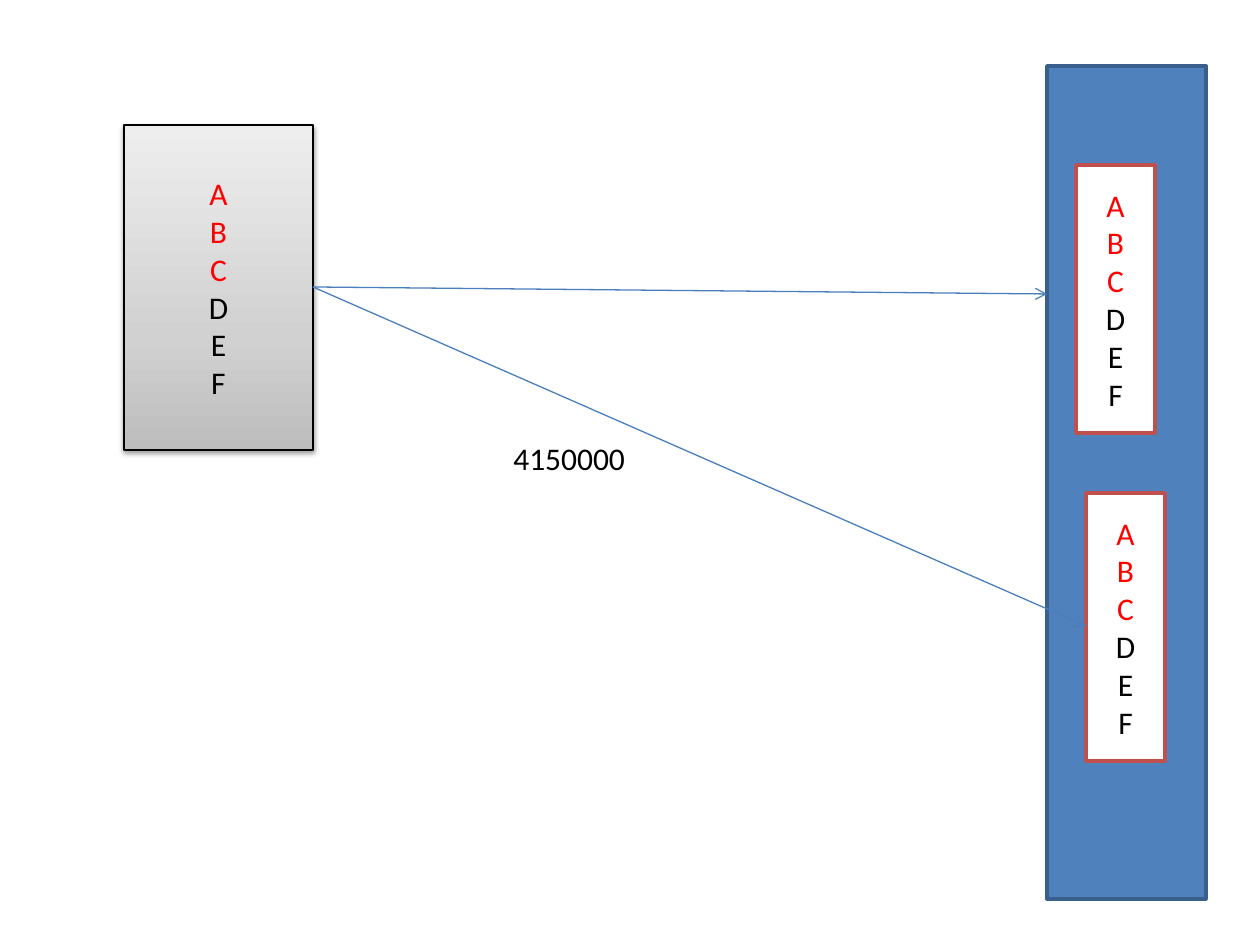
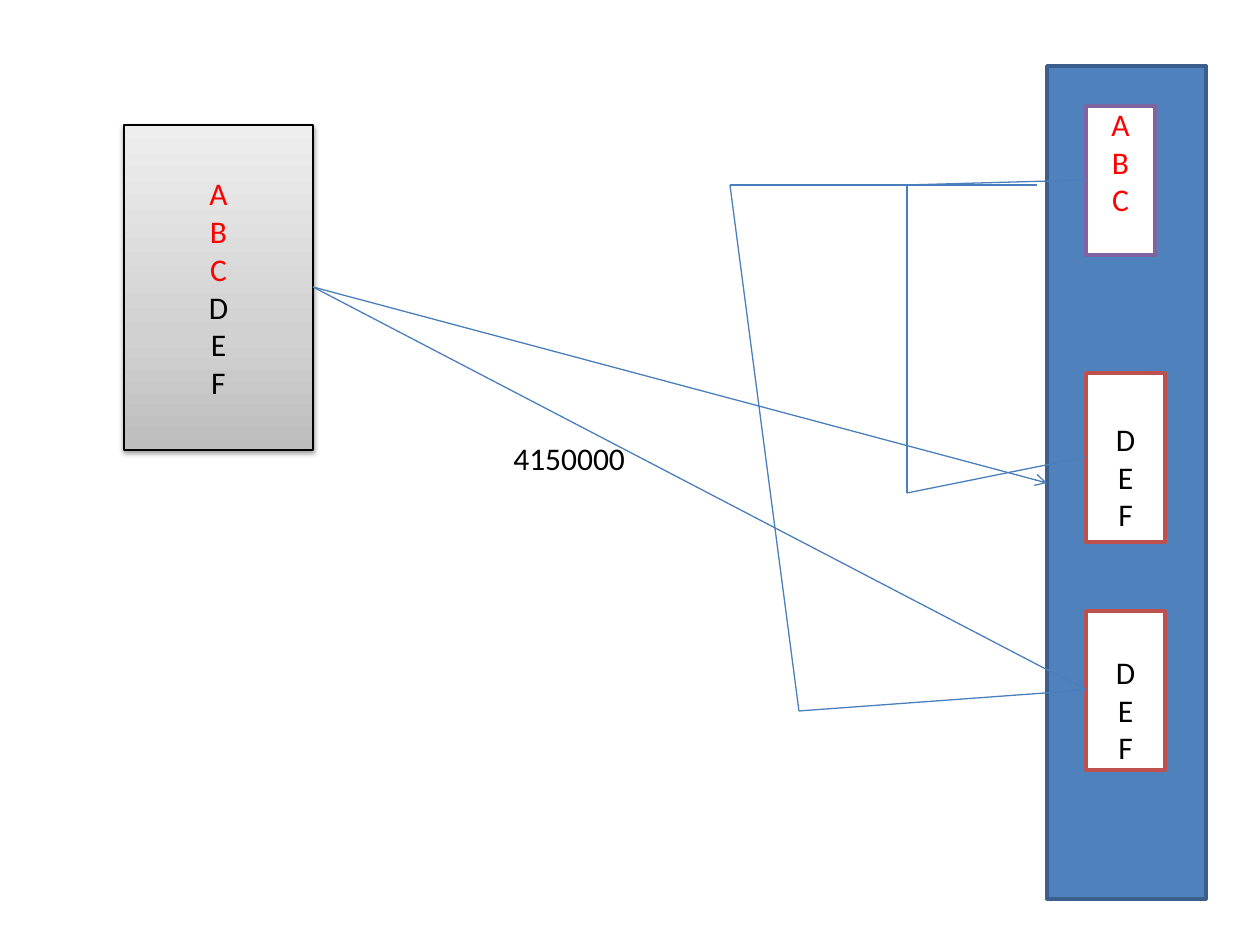
from itertools import pairwise

from lxml.etree import SubElement
from pptx import Presentation
from pptx.dml.color import RGBColor
from pptx.enum.shapes import MSO_CONNECTOR as CONNECTOR, MSO_SHAPE as SHAPE
from pptx.enum.text import MSO_ANCHOR as ANCHOR, MSO_AUTO_SIZE as AUTO_SIZE, PP_ALIGN as ALIGN
from pptx.oxml.ns import qn
from pptx.util import Pt

PX = 914400 // 126  # EMU in one pixel

THEME = {
    "font": "Calibri", "size": 18,
    "text": "000000", "marked": "FF0000",
    "paper": "FFFFFF", "band": "4F81BD", "band_line": "3A5F8C",
    "red": "C0504D", "purple": "8064A2", "link": "4B7EBC",
    "gradient": [(0, "BDBDBD"), (35, "D1D1D1"), (100, "EEEEEE")],
    "thin": 0.75, "thick": 2,
}

# Content: lengths are pixels, boxes are left, top, width, height
MARKED = "ABC"
SOURCE = (124, 125, 189, 325)
BAND = (1047, 66, 159, 833)
LABEL, LABEL_BOX = "4150000", (501, 433, 139, 50)
LINE_HEIGHT, INSET = 38, 6

# Stores: letters, box, outline, lines left free above and below the letters
SLIDES = [
    {
        "stores": [
            ("ABCDEF", (1076, 165, 79, 268), "red", 0, 0),
            ("ABCDEF", (1086, 493, 79, 268), "red", 0, 0),
        ],
        "targets": [(1047, 294), (1086, 626)],
        "routes": [],
    },
    {
        "stores": [
            ("DEF", (1086, 373, 79, 169), "red", 1, 0),
            ("DEF", (1086, 611, 79, 159), "red", 1, 0),
            ("ABC", (1086, 106, 69, 149), "purple", 0, 1),
        ],
        "targets": [(1047, 483), (1086, 690)],
        "routes": [
            [(1086, 180), (907, 185), (907, 493), (1086, 457)],
            [(1037, 185), (730, 185), (799, 711), (1086, 690)],
        ],
    },
]


def emu(lengths):
    return [length * PX for length in lengths]


def rgb(name):
    return RGBColor.from_string(THEME[name])


def style_text(paragraph, text, color):
    paragraph.text = text
    font = paragraph.font
    font.name, font.size = THEME["font"], Pt(THEME["size"])
    font.color.rgb = rgb(color)


def add_box(slide, box, fill, line, width):
    rect = slide.shapes.add_shape(SHAPE.RECTANGLE, *emu(box))
    rect.shadow.inherit = False
    if fill:
        rect.fill.solid()
        rect.fill.fore_color.rgb = rgb(fill)
    rect.line.color.rgb = rgb(line)
    rect.line.width = Pt(THEME[width])
    return rect


def add_letters(rect, letters, above=0, below=0):
    frame = rect.text_frame
    frame.vertical_anchor = ANCHOR.MIDDLE
    frame.margin_top, frame.margin_bottom = emu(
        INSET + free * LINE_HEIGHT for free in (above, below))
    for i, letter in enumerate(letters):
        paragraph = frame.add_paragraph() if i else frame.paragraphs[0]
        paragraph.alignment = ALIGN.CENTER
        style_text(paragraph, letter, "marked" if letter in MARKED else "text")


def add_color(parent, color):
    return SubElement(parent, qn("a:srgbClr"), val=color)


def add_source(slide):
    source = add_box(slide, SOURCE, None, "text", "thin")
    # Grey gradient, dark at the bottom
    source.fill.gradient()
    source.fill.gradient_angle = 90
    properties = source._element.spPr
    stops = properties.find(".//" + qn("a:gsLst"))
    for stop in list(stops):
        stops.remove(stop)
    for percent, color in THEME["gradient"]:
        add_color(SubElement(stops, qn("a:gs"), pos=str(percent * 1000)), color)
    # Soft shadow below
    shadow = SubElement(properties.find(qn("a:effectLst")), qn("a:outerShdw"),
                        blurRad="40000", dist="20000", dir="5400000", rotWithShape="0")
    SubElement(add_color(shadow, THEME["text"]), qn("a:alpha"), val="38000")
    add_letters(source, "ABCDEF")


def add_link(slide, start, end, arrow=False):
    link = slide.shapes.add_connector(CONNECTOR.STRAIGHT, *emu(start + end))
    link.line.color.rgb = rgb("link")
    link.line.width = Pt(THEME["thin"])
    if arrow:
        SubElement(link.line._get_or_add_ln(), qn("a:tailEnd"), type="arrow")
    SubElement(link._element.spPr, qn("a:effectLst"))


def add_label(slide):
    label = slide.shapes.add_textbox(*emu(LABEL_BOX)).text_frame
    label.word_wrap = False
    label.auto_size = AUTO_SIZE.SHAPE_TO_FIT_TEXT
    style_text(label.paragraphs[0], LABEL, "text")


deck = Presentation()
deck.slide_width, deck.slide_height = emu((1260, 945))
left, top, width, height = SOURCE
source_exit = (left + width, top + height // 2)

for content in SLIDES:
    slide = deck.slides.add_slide(deck.slide_layouts[6])
    # Source and band
    add_source(slide)
    add_box(slide, BAND, "band", "band_line", "thick")
    # Stores on the band
    for letters, box, outline, above, below in content["stores"]:
        add_letters(add_box(slide, box, "paper", outline, "thick"), letters, above, below)
    add_label(slide)
    # Arrows from the source, then routes between stores
    for target in content["targets"]:
        add_link(slide, source_exit, target, arrow=True)
    for route in content["routes"]:
        for start, end in pairwise(route):
            add_link(slide, start, end)

deck.save("out.pptx")
